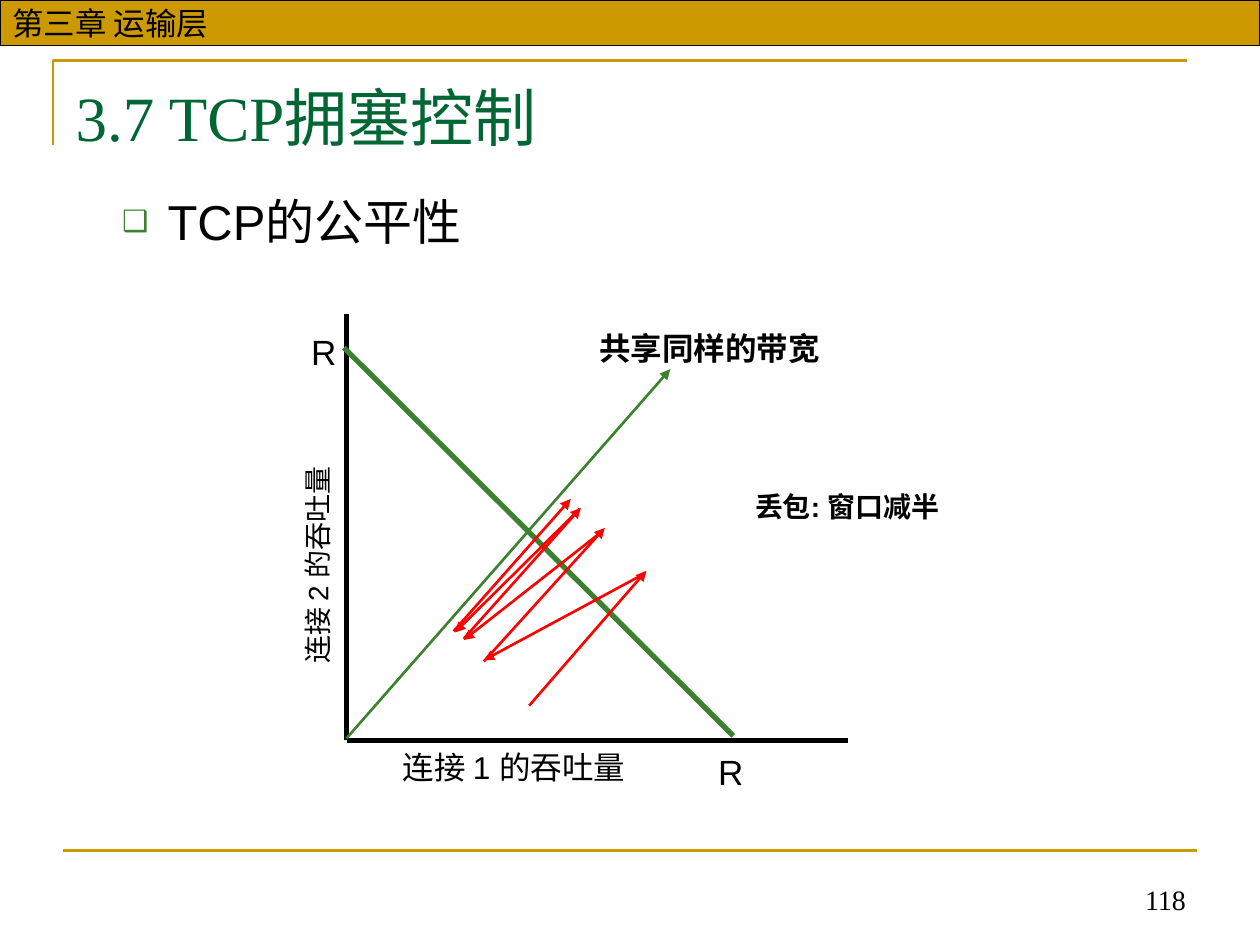
from lxml.etree import SubElement
from pptx import Presentation
from pptx.dml.color import RGBColor
from pptx.enum.shapes import MSO_CONNECTOR, MSO_SHAPE
from pptx.enum.text import MSO_ANCHOR, PP_ALIGN
from pptx.oxml.ns import qn
from pptx.util import Inches, Pt

BLACK, GOLD, GREEN, RED = "000000", "CC9900", "3B812F", "FF0000"
TITLE_GREEN = "006633"


def rgb(color):
    return RGBColor.from_string(color)


def place(shape, left, top, width, height):
    shape.left, shape.top = Inches(left), Inches(top)
    shape.width, shape.height = Inches(width), Inches(height)


def set_text(shape, text, size, color=BLACK, font="Arial", bold=False,
             align=PP_ALIGN.CENTER, anchor=MSO_ANCHOR.TOP, wrap=True):
    frame = shape.text_frame
    frame.text = text
    frame.word_wrap = wrap
    frame.vertical_anchor = anchor
    paragraph = frame.paragraphs[0]
    paragraph.alignment = align
    paragraph.space_before = Pt(0)
    style = paragraph.runs[0].font
    style.size, style.name, style.bold = Pt(size), font, bold
    style.color.rgb = rgb(color)


def add_label(slide, text, box, size, rotation=0, **style):
    label = slide.shapes.add_textbox(*map(Inches, box))
    label.rotation = rotation
    set_text(label, text, size, **style)


def add_line(slide, start, end, color, width, arrow=False):
    line = slide.shapes.add_connector(
        MSO_CONNECTOR.STRAIGHT, *map(Inches, start + end))
    line.line.color.rgb = rgb(color)
    line.line.width = Pt(width)
    if arrow:
        SubElement(line.line._ln, qn("a:tailEnd"), type="triangle")
    SubElement(line._element.spPr, qn("a:effectLst"))


def add_bullet(paragraph, char, color, percent):
    properties = paragraph._p.get_or_add_pPr()
    properties.set("marL", str(Inches(0.73)))
    properties.set("indent", str(Inches(-0.36)))
    bullet_color = SubElement(properties, qn("a:buClr"))
    SubElement(bullet_color, qn("a:srgbClr"), val=color)
    SubElement(properties, qn("a:buSzPct"), val=str(percent * 1000))
    SubElement(properties, qn("a:buChar"), char=char)


def add_frame(slide):
    # Corner rule around the title
    builder = slide.shapes.build_freeform(Inches(0.42), Inches(1.15))
    builder.add_line_segments(
        [(Inches(0.42), Inches(0.48)), (Inches(9.42), Inches(0.48))], close=False)
    corner = builder.convert_to_shape()
    corner.shadow.inherit = False
    corner.fill.background()
    corner.line.color.rgb = rgb(GOLD)
    corner.line.width = Pt(1.5)

    # Footer rule
    add_line(slide, (0.5, 6.75), (9.5, 6.75), GOLD, 1.5)

    # Chapter band and page number
    chapter = slide.shapes.add_shape(
        MSO_SHAPE.RECTANGLE, 0, 0, Inches(10), Inches(0.36))
    chapter.shadow.inherit = False
    chapter.fill.solid()
    chapter.fill.fore_color.rgb = rgb(GOLD)
    chapter.line.color.rgb = rgb(BLACK)
    chapter.line.width = Pt(0.75)
    set_text(chapter, "第三章 运输层", 18, align=PP_ALIGN.LEFT,
             anchor=MSO_ANCHOR.MIDDLE)
    add_label(slide, "118", (6.34, 6.82, 3.17, 0.5), 16, font="Times New Roman",
              align=PP_ALIGN.RIGHT, anchor=MSO_ANCHOR.BOTTOM)


def add_heading(slide):
    title, topic = slide.placeholders
    place(title, 0.5, 0.54, 9, 0.77)
    set_text(title, "3.7 TCP拥塞控制", 36, TITLE_GREEN, "Times New Roman",
             align=PP_ALIGN.LEFT, anchor=MSO_ANCHOR.MIDDLE)
    place(topic, 0.5, 1.47, 9, 5.2)
    set_text(topic, "TCP的公平性", 28, align=PP_ALIGN.LEFT)
    add_bullet(topic.text_frame.paragraphs[0], "❑", GREEN, 60)


def add_fairness_graph(slide):
    # Axes, equal-share line and full-bandwidth line
    add_line(slide, (2.75, 5.88), (6.73, 5.88), BLACK, 3)
    add_line(slide, (2.75, 5.87), (2.75, 2.49), BLACK, 3)
    add_line(slide, (2.75, 5.86), (5.32, 2.93), GREEN, 1.5, arrow=True)
    add_line(slide, (2.73, 2.76), (5.82, 5.84), GREEN, 3)

    # Window growth alternating with halving on loss
    window_steps = [
        ((4.2, 5.6), (5.13, 4.53)),
        ((5.12, 4.55), (3.84, 5.24)),
        ((3.84, 5.25), (4.8, 4.19)),
        ((4.75, 4.24), (3.68, 5.08)),
        ((3.68, 5.07), (4.61, 4.03)),
        ((4.6, 4.04), (3.61, 5.02)),
        ((3.6, 5.01), (4.53, 3.96)),
    ]
    for start, end in window_steps:
        add_line(slide, start, end, RED, 1.5, arrow=True)

    # Labels
    for left, top in [(2.35, 2.57), (5.58, 5.91)]:
        add_label(slide, "R", (left, top, 0.44, 0.44), 20)
    add_label(slide, "共享同样的带宽", (3.69, 2.56, 3.88, 0.4), 18, bold=True)
    add_label(slide, "连接 1 的吞吐量", (2.14, 5.89, 3.88, 0.4), 18)
    add_label(slide, "连接 2 的吞吐量", (0.58, 4.3, 3.88, 0.37), 16, rotation=270)
    add_label(slide, "丢包: 窗口减半", (5.84, 3.84, 1.77, 0.37), 16,
              bold=True, wrap=False)


def main():
    presentation = Presentation()
    presentation.slide_width = Inches(10)
    presentation.slide_height = Inches(7.5)
    slide = presentation.slides.add_slide(presentation.slide_layouts[1])
    add_frame(slide)
    add_heading(slide)
    add_fairness_graph(slide)
    presentation.save("out.pptx")


if __name__ == "__main__":
    main()
